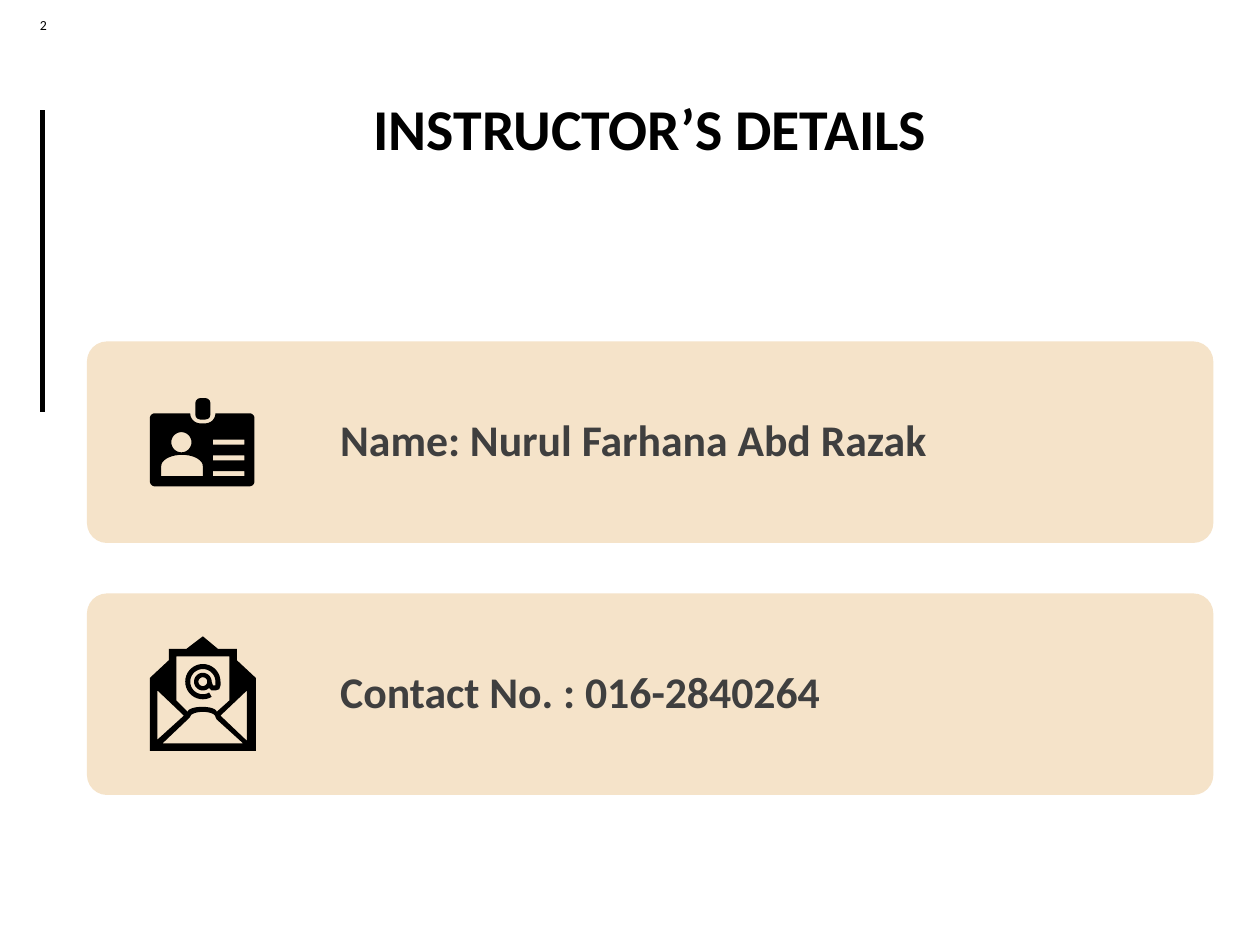
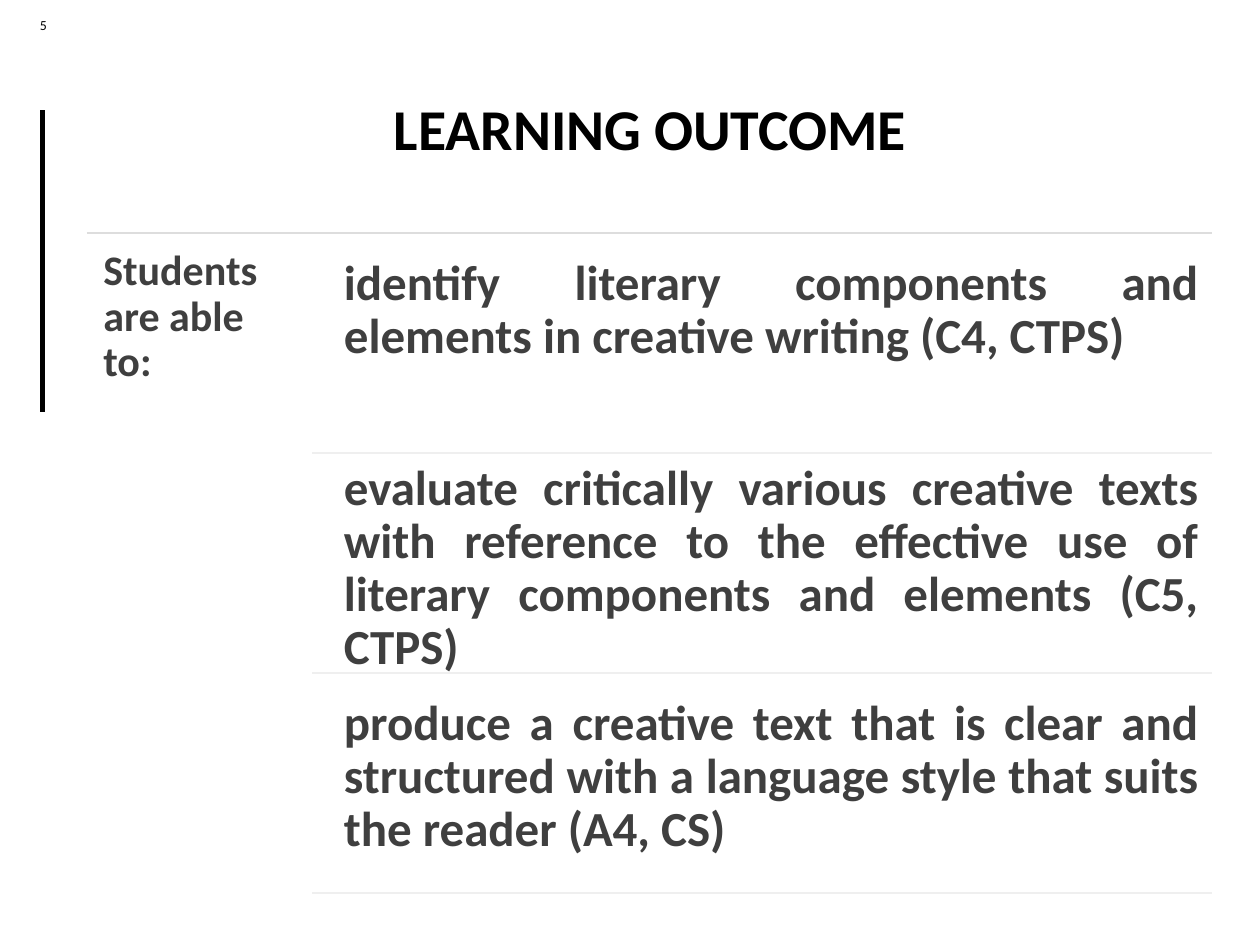
from dataclasses import dataclass
from math import cos, radians, sin

from lxml.etree import SubElement
from pptx import Presentation
from pptx.dml.color import RGBColor
from pptx.enum.shapes import MSO_CONNECTOR as Connector, MSO_SHAPE as Preset
from pptx.enum.text import MSO_ANCHOR as Anchor, MSO_AUTO_SIZE as AutoSize, PP_ALIGN as Align
from pptx.oxml.ns import qn
from pptx.util import Inches, Pt

BLACK = RGBColor(0x00, 0x00, 0x00)
TEXT_GREY = RGBColor(0x3F, 0x3F, 0x3F)
CARD_SAND = RGBColor(0xF5, 0xE3, 0xC9)
TOP_RULE_GREY = RGBColor(0xDD, 0xDD, 0xDD)
ROW_RULE_GREY = RGBColor(0xEF, 0xEF, 0xEF)

FONT_NAME = "Calibri"
TITLE_ONLY = 5
CONTENT_LEFT, CONTENT_WIDTH = 0.69, 8.94
CONTENT_RIGHT = 9.62
CARD_TOP, CARD_HEIGHT, CARD_PITCH = 2.71, 1.6, 2.0
RULE_TOP, ROW_PITCH, ROW_LEFT = 1.85, 1.745, 2.48

Point = tuple[float, float]
Contour = list[Point]


@dataclass(frozen=True)
class Box:
    """A frame in inches."""
    left: float
    top: float
    width: float
    height: float

    def lengths(self) -> list:
        return [Inches(v) for v in (self.left, self.top, self.width, self.height)]


@dataclass(frozen=True)
class TextStyle:
    size: float
    color: RGBColor = TEXT_GREY
    bold: bool = True
    align: Align = Align.LEFT
    anchor: Anchor = Anchor.TOP
    margin_x: float = 0.1
    margin_y: float = 0.05
    line_spacing: float = 0.9


@dataclass(frozen=True)
class Rule:
    start: Point
    end: Point
    color: RGBColor
    width: float


@dataclass(frozen=True)
class Outcome:
    text: str
    offset: float  # from the rule above to the text frame


NUMBER_STYLE = TextStyle(7.9, BLACK, False, Align.CENTER, line_spacing=1.0)
TITLE_STYLE = TextStyle(33, BLACK, True, Align.CENTER, Anchor.BOTTOM)
CARD_STYLE = TextStyle(25, anchor=Anchor.MIDDLE, margin_x=0.17, margin_y=0.17)
LEAD_STYLE = TextStyle(24, margin_x=0.13, margin_y=0.13)
OUTCOME_STYLE = TextStyle(28, align=Align.JUSTIFY, margin_x=0.12, margin_y=0.12)

NUMBER_BOX = Box(0.13, 0.08, 0.43, 0.27)
TITLE_BOX = Box(CONTENT_LEFT, 0, CONTENT_WIDTH, 1.34)
SIDE_RULE = Rule((0.34, 3.27), (0.34, 0.87), BLACK, 3)

CARD_TEXTS = ["Name: Nurul Farhana Abd Razak", "Contact No. : 016-2840264"]
OUTCOMES = [
    Outcome("identify literary components and elements in creative writing "
            "(C4, CTPS)", 0.08),
    Outcome("evaluate critically various creative texts with reference to the "
            "effective use of literary components and elements (C5, CTPS)", -0.04),
    Outcome("produce a creative text that is clear and structured with a "
            "language style that suits the reader (A4, CS)", 0.08),
]


def set_attributes(target, values: dict) -> None:
    for name, value in values.items():
        setattr(target, name, value)


def write_text(shape, text: str, style: TextStyle) -> None:
    frame = shape.text_frame
    set_attributes(frame, {
        "word_wrap": True,
        "auto_size": AutoSize.NONE,
        "vertical_anchor": style.anchor,
        "margin_left": Inches(style.margin_x),
        "margin_right": Inches(style.margin_x),
        "margin_top": Inches(style.margin_y),
        "margin_bottom": Inches(style.margin_y),
    })
    paragraph = frame.paragraphs[0]
    set_attributes(paragraph, {"alignment": style.align, "line_spacing": style.line_spacing})
    run = paragraph.add_run()
    run.text = text
    set_attributes(run.font, {"name": FONT_NAME, "size": Pt(style.size), "bold": style.bold})
    run.font.color.rgb = style.color


def add_text(slide, box: Box, text: str, style: TextStyle) -> None:
    write_text(slide.shapes.add_textbox(*box.lengths()), text, style)


def add_rule(slide, rule: Rule) -> None:
    ends = [Inches(v) for v in rule.start + rule.end]
    connector = slide.shapes.add_connector(Connector.STRAIGHT, *ends)
    connector.line.color.rgb = rule.color
    connector.line.width = Pt(rule.width)
    SubElement(connector._element.spPr, qn("a:effectLst"))


def paint(shape, color: RGBColor) -> None:
    """Give a shape a flat fill with no outline or shadow."""
    shape.fill.solid()
    shape.fill.fore_color.rgb = color
    shape.line.fill.background()
    shape.shadow.inherit = False


def add_rounded(slide, box: Box, color: RGBColor, rounding: float) -> None:
    shape = slide.shapes.add_shape(Preset.ROUNDED_RECTANGLE, *box.lengths())
    shape.adjustments[0] = rounding
    paint(shape, color)


def arc(center: Point, radius_x: float, radius_y: float, start: int, end: int) -> Contour:
    """Points along an ellipse; angles in degrees, clockwise from the right."""
    steps = max(4, abs(end - start) // 10)
    angles = [radians(start + (end - start) * i / steps) for i in range(steps + 1)]
    return [(center[0] + radius_x * cos(a), center[1] + radius_y * sin(a)) for a in angles]


def circle(center: Point, radius: float) -> Contour:
    return arc(center, radius, radius, 0, 360)


def rectangle(left: float, top: float, right: float, bottom: float) -> Contour:
    return [(left, top), (right, top), (right, bottom), (left, bottom)]


def add_outline(slide, contours: list[Contour]) -> None:
    """Draw one black shape; contours inside the first one are holes."""
    paths = [[(Inches(x), Inches(y)) for x, y in contour] for contour in contours]
    builder = slide.shapes.build_freeform(*paths[0][0])
    for index, path in enumerate(paths):
        if index:
            builder.move_to(*path[0])
        builder.add_line_segments(path[1:], close=True)
    paint(builder.convert_to_shape(), BLACK)


def add_badge_icon(slide) -> None:
    add_rounded(slide, Box(1.55, 3.16, 0.12, 0.17), BLACK, 0.33)
    corners = [((1.23, 3.32), 270), ((1.23, 3.82), 180), ((1.98, 3.82), 90), ((1.98, 3.32), 0)]
    card = arc((1.63, 3.28), 0.08, 0.08, 0, 90) + arc((1.59, 3.28), 0.08, 0.08, 90, 180)
    for center, angle in corners:
        card += arc(center, 0.04, 0.04, angle, angle - 90)
    head = circle((1.44, 3.51), 0.08)
    shoulders = [(1.61, 3.78), (1.28, 3.78)] + arc((1.445, 3.7), 0.165, 0.09, 180, 360)
    text_lines = [rectangle(1.69, top, 1.94, top + 0.04) for top in (3.49, 3.615, 3.74)]
    add_outline(slide, [card, head, shoulders, *text_lines])


def add_envelope_icon(slide) -> None:
    envelope = [(1.88, 5.24), (1.88, 5.15), (1.73, 5.15), (1.61, 5.05), (1.48, 5.15),
                (1.34, 5.15), (1.34, 5.24), (1.19, 5.38), (1.19, 5.96), (2.03, 5.96),
                (2.03, 5.38)]
    right_fold = [(1.96, 5.88), (1.75, 5.68), (1.96, 5.48)]
    left_fold = [(1.25, 5.48), (1.46, 5.68), (1.25, 5.87)]
    flap = [(1.29, 5.9), (1.49, 5.71), *arc((1.61, 5.69), 0.1, 0.04, 180, 360),
            (1.72, 5.71), (1.93, 5.9)]
    letter = [(1.4, 5.21), (1.82, 5.21), (1.82, 5.56),
              *arc((1.605, 5.65), 0.115, 0.04, 360, 180), (1.4, 5.56)]
    add_outline(slide, [envelope, right_fold, left_fold, flap, letter])

    center = (1.61, 5.41)
    at_sign = [*arc(center, 0.14, 0.14, 90, 60), *arc(center, 0.1, 0.1, 60, 360),
               (1.71, 5.44), (1.69, 5.44), *arc(center, 0.07, 0.07, 0, -315),
               (1.68, 5.48), (1.71, 5.48), (1.74, 5.47), (1.75, 5.44),
               *arc(center, 0.14, 0.14, 0, -270)]
    add_outline(slide, [at_sign, circle(center, 0.035)])


def add_titled_slide(presentation, number: int, title: str):
    slide = presentation.slides.add_slide(presentation.slide_layouts[TITLE_ONLY])
    add_rule(slide, SIDE_RULE)
    add_text(slide, NUMBER_BOX, str(number), NUMBER_STYLE)
    placeholder = slide.shapes.title
    set_attributes(placeholder, dict(zip(("left", "top", "width", "height"),
                                         TITLE_BOX.lengths())))
    write_text(placeholder, title, TITLE_STYLE)
    return slide


def build_instructor_slide(presentation) -> None:
    slide = add_titled_slide(presentation, 2, "INSTRUCTOR’S DETAILS")
    for index, text in enumerate(CARD_TEXTS):
        top = CARD_TOP + index * CARD_PITCH
        add_rounded(slide, Box(CONTENT_LEFT, top, CONTENT_WIDTH, CARD_HEIGHT), CARD_SAND, 0.1)
        add_text(slide, Box(2.53, top, 7.09, CARD_HEIGHT), text, CARD_STYLE)
    add_badge_icon(slide)
    add_envelope_icon(slide)


def build_outcome_slide(presentation) -> None:
    slide = add_titled_slide(presentation, 5, "LEARNING OUTCOME")
    add_rule(slide, Rule((CONTENT_LEFT, RULE_TOP), (CONTENT_RIGHT, RULE_TOP),
                         TOP_RULE_GREY, 0.75))
    add_text(slide, Box(CONTENT_LEFT, RULE_TOP, 1.79, 5.32), "Students are able to:", LEAD_STYLE)
    for index, outcome in enumerate(OUTCOMES):
        top = RULE_TOP + index * ROW_PITCH
        bottom = top + ROW_PITCH
        add_text(slide, Box(2.61, top + outcome.offset, 7.02, 1.66), outcome.text, OUTCOME_STYLE)
        add_rule(slide, Rule((ROW_LEFT, bottom), (CONTENT_RIGHT, bottom), ROW_RULE_GREY, 1))


def main() -> None:
    presentation = Presentation()
    presentation.slide_width = Inches(10)
    presentation.slide_height = Inches(7.5)
    build_instructor_slide(presentation)
    build_outcome_slide(presentation)
    presentation.save("out.pptx")


if __name__ == "__main__":
    main()
